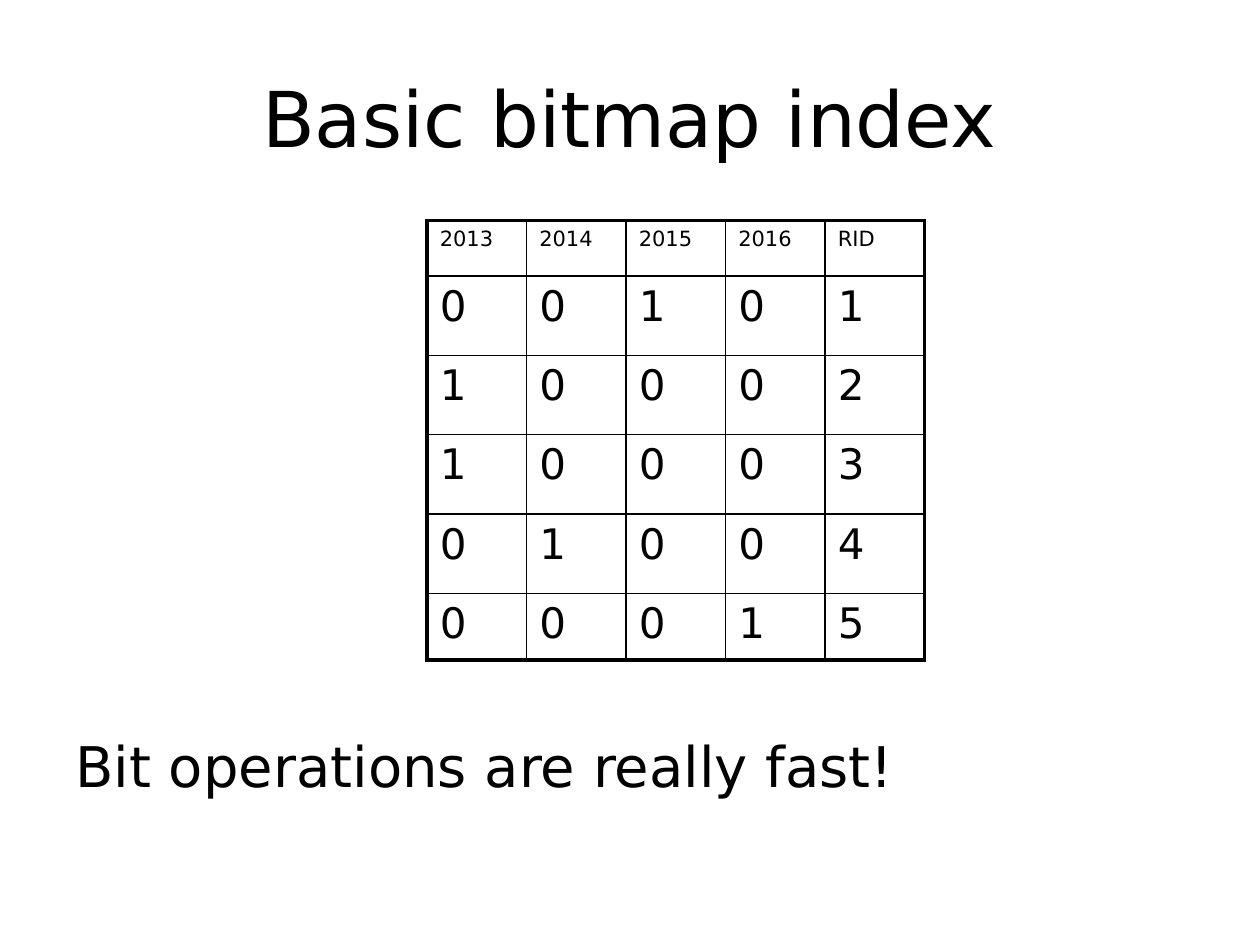
from dataclasses import dataclass

from lxml import etree
from pptx import Presentation
from pptx import util as u
from pptx.dml.color import RGBColor
from pptx.enum import text
from pptx.oxml import ns


@dataclass(frozen=True)
class Theme:
    font: str = "DejaVu Sans"
    ink: str = "000000"
    background: str = "FFFFFF"
    title_size: int = 44
    body_size: int = 32
    cell_size: int = 24
    header_size: int = 12
    inner_line: float = 1
    outer_line: float = 2.25


THEME = Theme()

HEADERS = ["2013", "2014", "2015", "2016", "RID"]
BITMAPS = ["0010", "1000", "1000", "0100", "0001"]
COLUMN_WIDTH = 0.79
ROW_HEIGHTS = [0.44] + [0.63] * 4 + [0.53]


def write_text(frame, content, size, align=text.PP_ALIGN.LEFT, line_spacing=None):
    paragraph = frame.paragraphs[0]
    paragraph.alignment = align
    if line_spacing:
        paragraph.line_spacing = line_spacing
    run = paragraph.add_run()
    run.text = content
    run.font.name = THEME.font
    run.font.size = u.Pt(size)
    run.font.color.rgb = RGBColor.from_string(THEME.ink)


def add_text(slide, content, left, top, width, height, anchor=text.MSO_ANCHOR.TOP, **style):
    shape = slide.shapes.add_textbox(
        u.Inches(left), u.Inches(top), u.Inches(width), u.Inches(height))
    shape.text_frame.word_wrap = True
    shape.text_frame.vertical_anchor = anchor
    write_text(shape.text_frame, content, **style)


def set_borders(cell, outer_edges):
    """Draw all four sides, heavier where the side is on the table's edge."""
    properties = cell._tc.get_or_add_tcPr()
    for index, (side, is_outer) in enumerate(outer_edges.items()):
        width = THEME.outer_line if is_outer else THEME.inner_line
        line = etree.Element(ns.qn(f"a:{side}"), w=str(u.Pt(width)))
        fill = etree.SubElement(line, ns.qn("a:solidFill"))
        etree.SubElement(fill, ns.qn("a:srgbClr"), val=THEME.ink)
        # Borders come before the cell's fill
        properties.insert(index, line)


def add_index_table(slide, left, top):
    rows = [HEADERS] + [[*bits, str(rid)] for rid, bits in enumerate(BITMAPS, 1)]
    last_row, last_column = len(rows) - 1, len(HEADERS) - 1
    table = slide.shapes.add_table(
        len(rows), len(HEADERS), u.Inches(left), u.Inches(top),
        u.Inches(COLUMN_WIDTH * len(HEADERS)), u.Inches(sum(ROW_HEIGHTS))).table
    table.first_row = table.horz_banding = False
    for column in table.columns:
        column.width = u.Inches(COLUMN_WIDTH)

    for r, values in enumerate(rows):
        table.rows[r].height = u.Inches(ROW_HEIGHTS[r])
        size = THEME.header_size if r == 0 else THEME.cell_size
        for c, value in enumerate(values):
            cell = table.cell(r, c)
            cell.fill.background()
            write_text(cell.text_frame, value, size)
            set_borders(cell, {"lnL": c == 0, "lnR": c == last_column,
                               "lnT": r == 0, "lnB": r == last_row})


def main():
    presentation = Presentation()
    presentation.slide_width = u.Inches(10)
    presentation.slide_height = u.Inches(7.5)
    slide = presentation.slides.add_slide(presentation.slide_layouts[6])
    slide.background.fill.solid()
    slide.background.fill.fore_color.rgb = RGBColor.from_string(THEME.background)

    # Title
    add_text(slide, "Basic bitmap index", 0.5, 0.3, 9, 1.25,
             anchor=text.MSO_ANCHOR.MIDDLE, size=THEME.title_size,
             align=text.PP_ALIGN.CENTER)

    # Bitmap per year, with the row id
    add_index_table(slide, 3.39, 1.75)

    # Takeaway
    add_text(slide, "Bit operations are really fast!", 0.5, 5.82, 9, 0.57,
             size=THEME.body_size, line_spacing=0.9)

    presentation.save("out.pptx")


if __name__ == "__main__":
    main()
